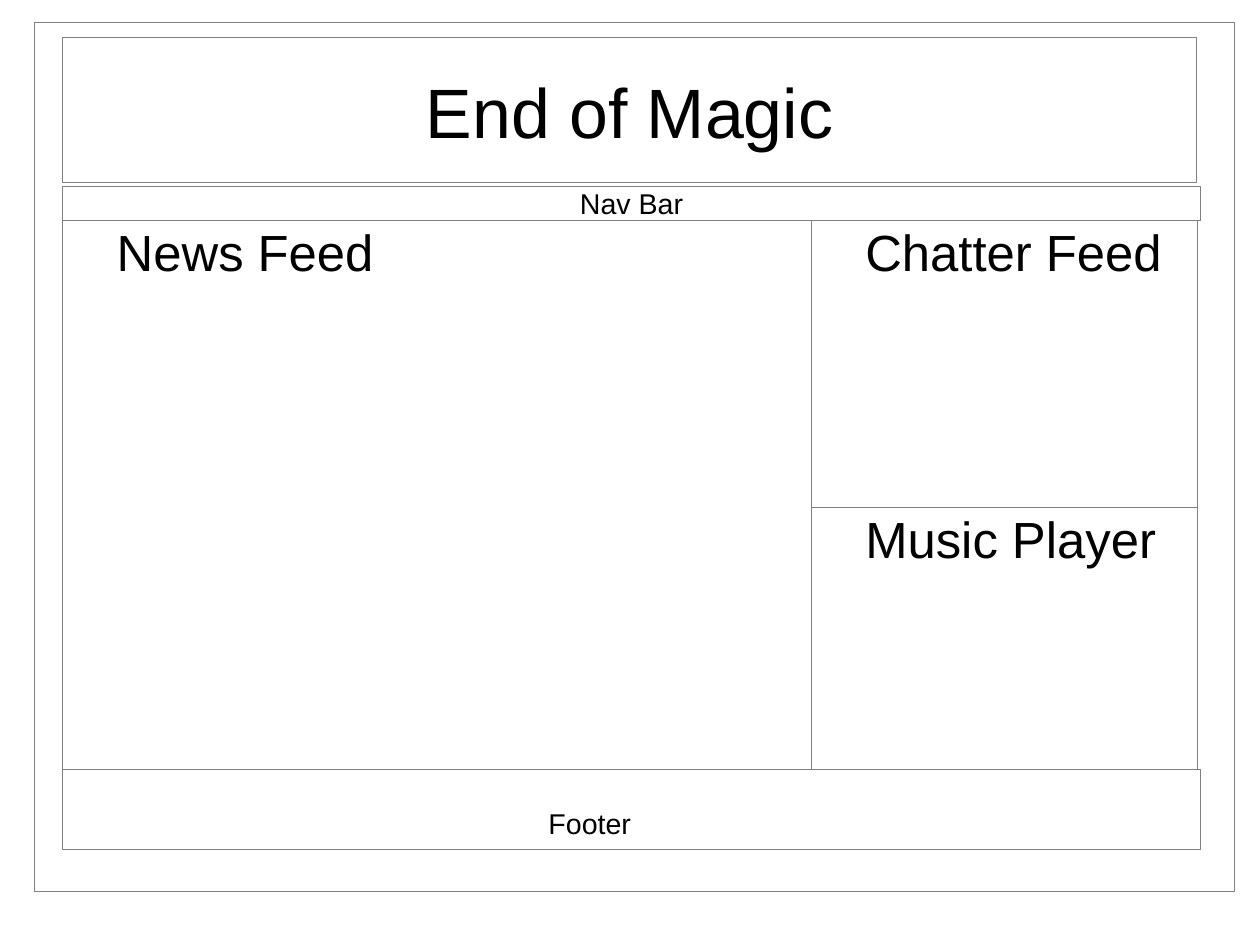
from dataclasses import dataclass

from pptx import Presentation
from pptx.dml.color import RGBColor
from pptx.enum.shapes import MSO_SHAPE
from pptx.enum.text import MSO_ANCHOR, MSO_AUTO_SIZE, PP_ALIGN
from pptx.slide import Slide
from pptx.text.text import TextFrame
from pptx.util import Inches, Pt


@dataclass(frozen=True)
class Theme:
    font: str = "Arial"
    ink: RGBColor = RGBColor(0x00, 0x00, 0x00)
    outline: RGBColor = RGBColor(0x80, 0x80, 0x80)
    title_size: int = 44
    heading_size: int = 32
    label_size: int = 18


THEME = Theme()


@dataclass(frozen=True)
class Region:
    left: float
    top: float
    width: float
    height: float
    label: str = ""
    size: int = THEME.heading_size
    centred: bool = False
    wrap: bool = True


CM_PER_INCH = 2.54
PAGE_WIDTH, PAGE_HEIGHT = 28 / CM_PER_INCH, 21 / CM_PER_INCH
LEFT, SPLIT = 0.55, 7.1
BODY_TOP, MUSIC_TOP, FOOTER_TOP = 1.93, 4.44, 6.73
SIDE_WIDTH, BAR_WIDTH = 3.38, 9.95
HEADING_INDENT = 0.47

REGIONS = [
    Region(LEFT, 0.33, 9.92, 1.27, "End of Magic", THEME.title_size, centred=True),
    Region(LEFT, BODY_TOP, SPLIT - LEFT, FOOTER_TOP - BODY_TOP, "News Feed"),
    Region(SPLIT, BODY_TOP, SIDE_WIDTH, MUSIC_TOP - BODY_TOP, "Chatter Feed"),
    Region(SPLIT, MUSIC_TOP, SIDE_WIDTH, FOOTER_TOP - MUSIC_TOP, "Music Player"),
    Region(0.3, 0.2, 10.5, 7.6),
    Region(LEFT, 1.63, BAR_WIDTH, 0.3, "Nav Bar", THEME.label_size, centred=True, wrap=False),
    Region(LEFT, FOOTER_TOP, BAR_WIDTH, 0.7),
]


def write_label(frame: TextFrame, text: str, size: int) -> None:
    frame.text = text
    font = frame.paragraphs[0].runs[0].font
    font.name = THEME.font
    font.size = Pt(size)
    font.color.rgb = THEME.ink


def draw_region(slide: Slide, region: Region) -> None:
    """Outline one page region and, if it has a label, set it at the top or centre."""
    box = slide.shapes.add_shape(
        MSO_SHAPE.RECTANGLE,
        Inches(region.left), Inches(region.top), Inches(region.width), Inches(region.height),
    )
    box.shadow.inherit = False
    box.fill.background()
    box.line.color.rgb = THEME.outline
    box.line.width = Pt(0)
    if not region.label:
        return

    frame = box.text_frame
    write_label(frame, region.label, region.size)
    frame.word_wrap = region.wrap
    if region.wrap:
        frame.margin_left = frame.margin_right = frame.margin_top = frame.margin_bottom = 0
    paragraph = frame.paragraphs[0]
    if region.centred:
        frame.vertical_anchor = MSO_ANCHOR.MIDDLE
        paragraph.alignment = PP_ALIGN.CENTER
    else:
        frame.vertical_anchor = MSO_ANCHOR.TOP
        paragraph.alignment = PP_ALIGN.LEFT
        paragraph.space_after = Pt(14.2)
        properties = paragraph._p.get_or_add_pPr()
        properties.set("marL", str(Inches(HEADING_INDENT)))
        properties.set("indent", "0")


def draw_footer_label(slide: Slide) -> None:
    footer = slide.shapes.add_textbox(Inches(4.7), Inches(7), Inches(0.92), Inches(0.38))
    write_label(footer.text_frame, "Footer", THEME.label_size)
    footer.text_frame.word_wrap = False
    footer.text_frame.auto_size = MSO_AUTO_SIZE.SHAPE_TO_FIT_TEXT


def main() -> None:
    presentation = Presentation()
    presentation.slide_width = Inches(PAGE_WIDTH)
    presentation.slide_height = Inches(PAGE_HEIGHT)
    slide = presentation.slides.add_slide(presentation.slide_layouts[6])
    for region in REGIONS:
        draw_region(slide, region)
    draw_footer_label(slide)
    presentation.save("out.pptx")


if __name__ == "__main__":
    main()
